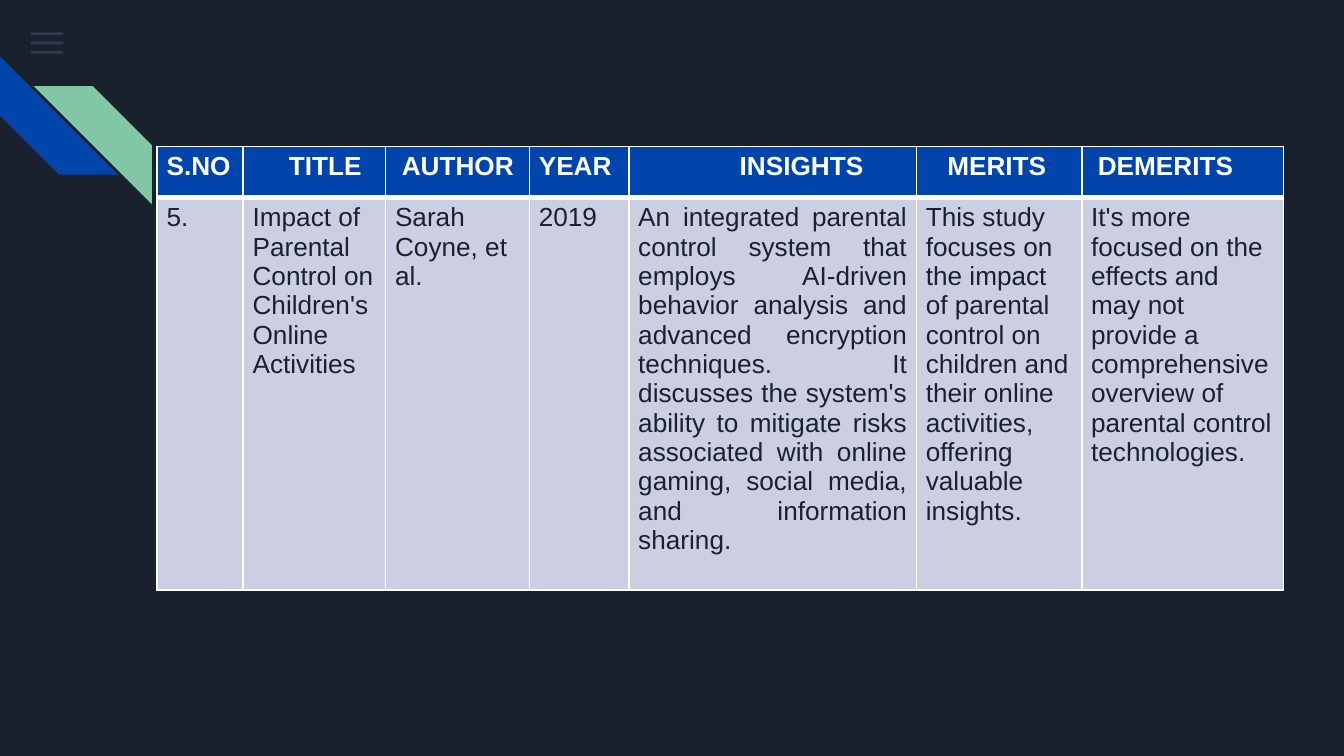
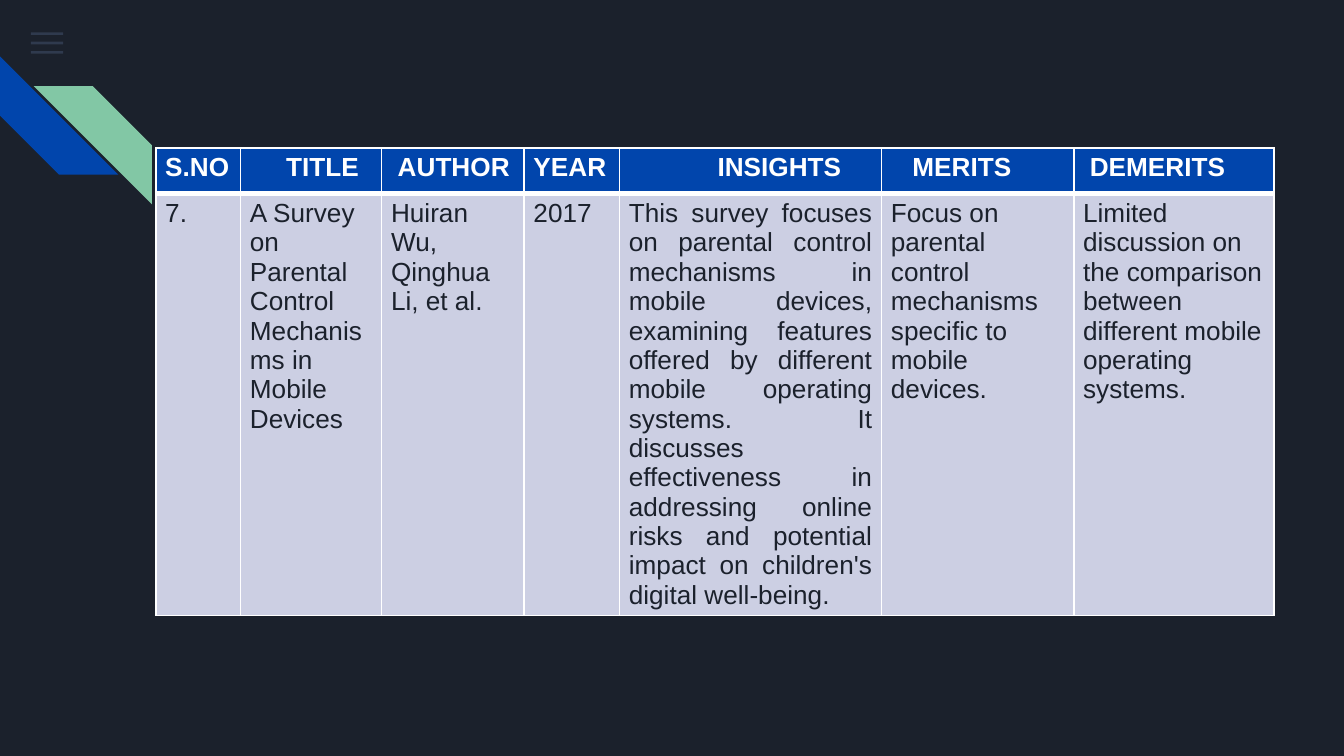
"""Builds two literature survey slides, each with one table of a reviewed study."""
from dataclasses import dataclass

from lxml import etree
from pptx import Presentation
from pptx.dml.color import RGBColor
from pptx.enum import shapes, text
from pptx.oxml.ns import qn
from pptx.util import Inches, Pt


@dataclass(frozen=True)
class Theme:
    background: str = "1B212C"
    menu: str = "55688B"
    menu_opacity: int = 36
    blue: str = "0145AC"
    green: str = "82C7A5"
    body_fill: str = "CCCFE3"
    white: str = "FFFFFF"
    font: str = "Arial"
    size: int = 14
    thin_line: int = 1
    thick_line: int = 3


LEFT, CENTER, JUSTIFY = text.PP_ALIGN.LEFT, text.PP_ALIGN.CENTER, text.PP_ALIGN.JUSTIFY

HEADERS = [
    ("S.NO", 0, LEFT),
    ("TITLE", 0.27, LEFT),
    ("AUTHOR", 0.05, LEFT),
    ("YEAR", 0, LEFT),
    ("INSIGHTS", 0.43, CENTER),
    ("MERITS", 0.16, LEFT),
    ("DEMERITS", 0.05, LEFT),
]

STUDIES = [
    {
        "position": (1.17, 1.09),
        "columns": [0.64, 1.06, 1.07, 0.74, 2.14, 1.23, 1.5],
        "rows": [0.38, 2.92],
        "entries": [
            "5.",
            "Impact of Parental Control on Children's Online Activities",
            "Sarah Coyne, et al.",
            "2019",
            "An integrated parental control system that employs AI-driven behavior analysis "
            "and advanced encryption techniques. It discusses the system's ability to mitigate "
            "risks associated with online gaming, social media, and information sharing.",
            "This study focuses on the impact of parental control on children and their online "
            "activities, offering valuable insights.",
            "It's more focused on the effects and may not provide a comprehensive overview of "
            "parental control technologies.",
        ],
    },
    {
        "position": (1.16, 1.1),
        "columns": [0.63, 1.05, 1.06, 0.71, 1.95, 1.43, 1.49],
        "rows": [0.34, 3.14],
        "entries": [
            "7.",
            "A Survey on Parental Control Mechanisms in Mobile Devices",
            "Huiran Wu, Qinghua Li, et al.",
            "2017",
            "This survey focuses on parental control mechanisms in mobile devices, examining "
            "features offered by different mobile operating systems. It discusses effectiveness "
            "in addressing online risks and potential impact on children's digital well-being.",
            "Focus on parental control mechanisms specific to mobile devices.",
            "Limited discussion on the comparison between different mobile operating systems.",
        ],
    },
]


class Deck:
    def __init__(self, theme):
        self.theme = theme
        self.presentation = Presentation()
        self.presentation.slide_width = Inches(10)
        self.presentation.slide_height = Inches(10) * 9 // 16
        self.slide = None

    def add_slide(self):
        self.slide = self.presentation.slides.add_slide(self.presentation.slide_layouts[6])
        background = self.slide.background.fill
        background.solid()
        background.fore_color.rgb = RGBColor.from_string(self.theme.background)
        self.menu_icon()
        self.stripe(0, 0.42, self.theme.blue, rotation=270)
        self.stripe(0.25, 0.64, self.theme.green, mirrored=True)

    def shape(self, kind, left, top, width, height, color):
        shape = self.slide.shapes.add_shape(
            kind, Inches(left), Inches(top), Inches(width), Inches(height))
        shape.shadow.inherit = False
        shape.fill.solid()
        shape.fill.fore_color.rgb = RGBColor.from_string(color)
        shape.line.fill.background()
        return shape

    def menu_icon(self):
        for index in range(3):
            bar = self.shape(shapes.MSO_SHAPE.RECTANGLE, 0.23, 0.24 + 0.07 * index,
                             0.24, 0.02, self.theme.menu)
            color = bar._element.spPr.find(".//" + qn("a:srgbClr"))
            etree.SubElement(color, qn("a:alpha"), val=str(self.theme.menu_opacity * 1000))

    def stripe(self, left, top, color, rotation=0, mirrored=False):
        stripe = self.shape(shapes.MSO_SHAPE.DIAGONAL_STRIPE, left, top, 0.88, 0.88, color)
        stripe.adjustments[0] = 0.5
        stripe.rotation = rotation
        if mirrored:
            stripe._element.spPr.find(qn("a:xfrm")).set("flipH", "1")

    def borders(self, cell, top, bottom):
        properties = cell._tc.get_or_add_tcPr()
        thin = self.theme.thin_line
        for side, width in (("L", thin), ("R", thin), ("T", top), ("B", bottom)):
            line = etree.SubElement(properties, qn(f"a:ln{side}"), w=str(Pt(width)))
            fill = etree.SubElement(line, qn("a:solidFill"))
            etree.SubElement(fill, qn("a:srgbClr"), val=self.theme.white)

    def cell(self, cell, content, fill, color, bold=False, align=LEFT, indent=0):
        cell.fill.solid()
        cell.fill.fore_color.rgb = RGBColor.from_string(fill)
        cell.margin_left = cell.margin_right = Inches(0.07)
        cell.margin_top = cell.margin_bottom = Inches(0.04)
        paragraph = cell.text_frame.paragraphs[0]
        paragraph.alignment = align
        if indent:
            paragraph._p.get_or_add_pPr().set("marL", str(Inches(indent)))
        run = paragraph.add_run()
        run.text = content
        run.font.name = self.theme.font
        run.font.size = Pt(self.theme.size)
        run.font.bold = bold
        run.font.color.rgb = RGBColor.from_string(color)

    def study_table(self, position, columns, rows, entries):
        theme = self.theme
        left, top = position
        table = self.slide.shapes.add_table(
            len(rows), len(columns), Inches(left), Inches(top),
            Inches(sum(columns)), Inches(sum(rows))).table
        table.first_row = table.horz_banding = False
        for row, height in zip(table.rows, rows):
            row.height = Inches(height)
        for index, (width, header, entry) in enumerate(zip(columns, HEADERS, entries)):
            table.columns[index].width = Inches(width)
            title, indent, align = header
            head, body = table.cell(0, index), table.cell(1, index)
            self.borders(head, theme.thin_line, theme.thick_line)
            self.borders(body, theme.thick_line, theme.thin_line)
            self.cell(head, title, theme.blue, theme.white, True, align, indent)
            self.cell(body, entry, theme.body_fill, theme.background,
                      align=JUSTIFY if title == "INSIGHTS" else LEFT)


def main():
    deck = Deck(Theme())
    for study in STUDIES:
        deck.add_slide()
        deck.study_table(**study)
    deck.presentation.save("out.pptx")


if __name__ == "__main__":
    main()
